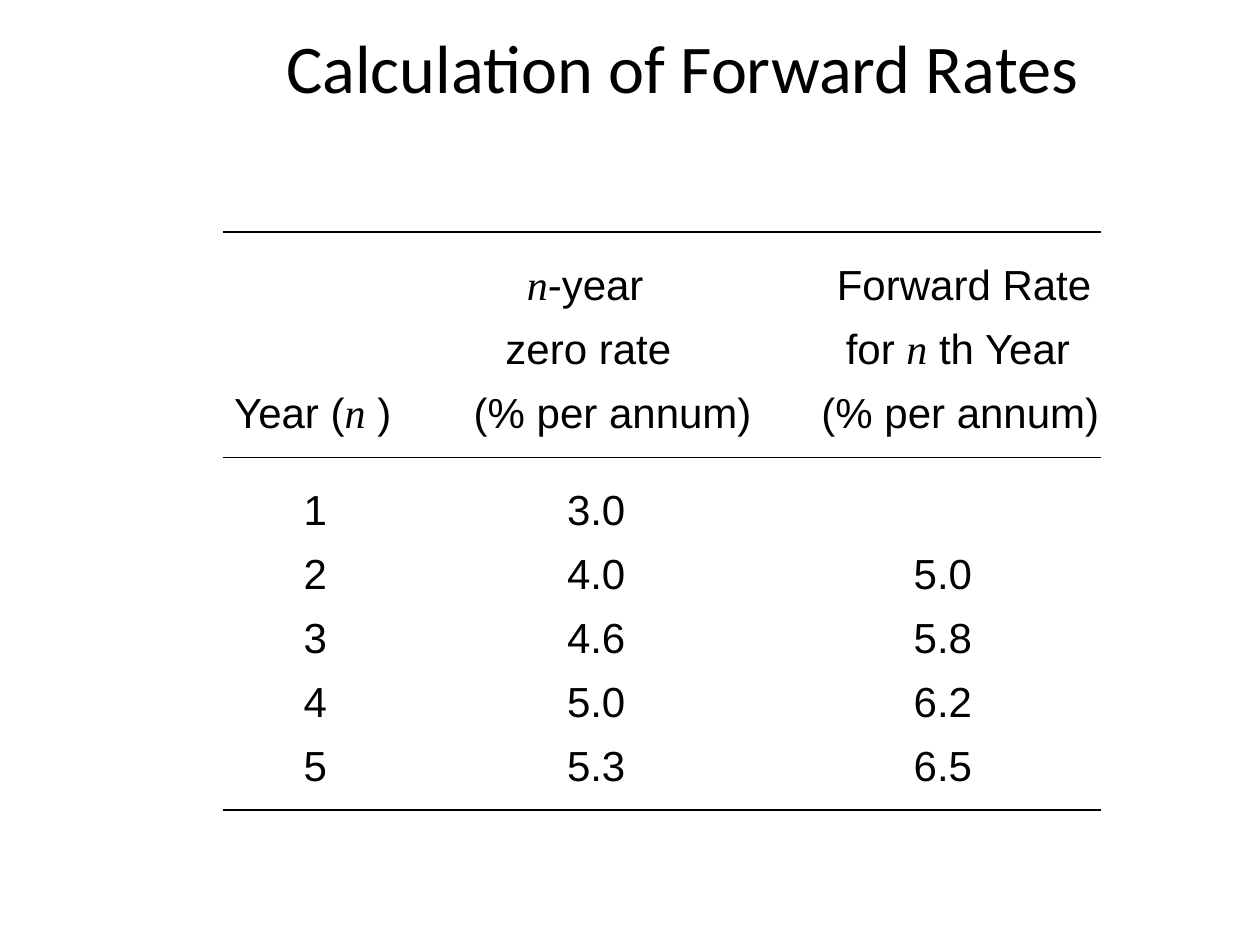
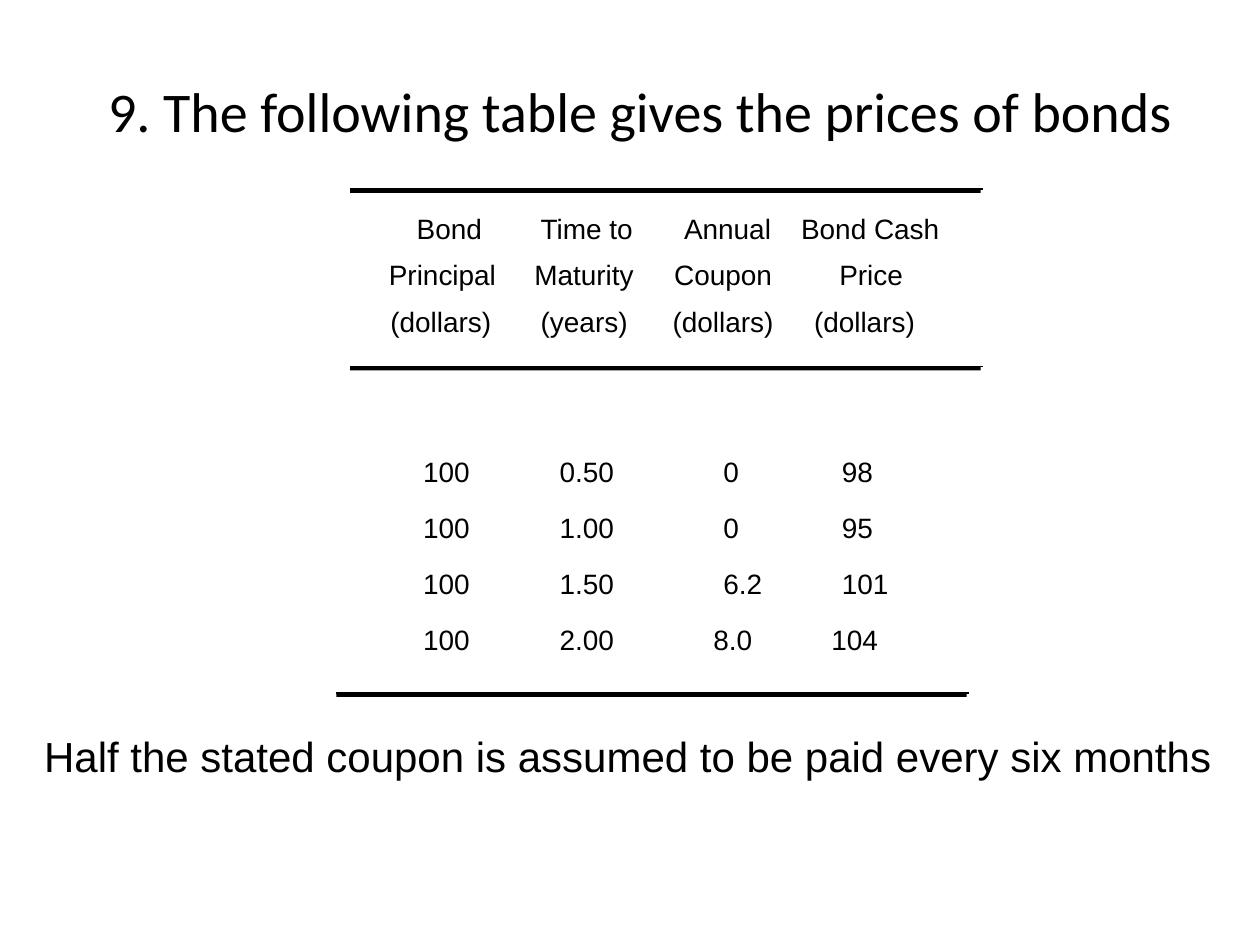
from lxml import etree
from pptx import Presentation
from pptx.dml.color import RGBColor
from pptx.enum.shapes import MSO_CONNECTOR, MSO_SHAPE
from pptx.enum.text import MSO_ANCHOR, PP_ALIGN
from pptx.oxml.ns import qn
from pptx.util import Cm, Pt

BLACK = RGBColor(0x00, 0x00, 0x00)
TITLE_FONT = "Calibri"
BODY_FONT = "Arial"
VARIABLE_FONT = "Times New Roman"

FORWARD_HEADINGS = [
    (("", "*n*-year", "Forward Rate"), (0.25, 1.32, 0.56)),
    (("", "zero rate", "for *n* th Year"), (0.25, 0.89, 0.74)),
    (("Year (*n* )", "(% per annum)", "(% per annum)"), (0.25, 0.25, 0.25)),
]
FORWARD_INDENTS = (1.65, 2.13, 2.11)
FORWARD_RATES = [
    ("1", "3.0", ""),
    ("2", "4.0", "5.0"),
    ("3", "4.6", "5.8"),
    ("4", "5.0", "6.2"),
    ("5", "5.3", "6.5"),
]

BOND_HEADINGS = [
    (("Bond", "Time to", "Annual", "Bond Cash"), (0.81, 0.38, 0.48, 0.25)),
    (("Principal", "Maturity", "Coupon", "Price"), (0.25, 0.25, 0.28, 1.02)),
    (("(dollars)", "(years)", "(dollars)", "(dollars)"), (0.28, 0.38, 0.25, 0.51)),
]
BOND_INDENTS = (0.94, 0.76, 1.27, 1.07)
LAST_BOND_INDENTS = (0.94, 0.76, 1.07, 0.86)
BOND_PRICES = [
    ("100", "0.50", "0", "98"),
    ("100", "1.00", "0", "95"),
    ("100", "1.50", "6.2", "101"),
]
LAST_BOND = ("100", "2.00", "8.0", "104")


def format_run(run, size, font_name):
    """Give a run its font, size and colour."""
    run.font.name = font_name
    run.font.size = Pt(size)
    run.font.color.rgb = BLACK


def add_text(slide, box, text, size, font_name, alignment=PP_ALIGN.LEFT):
    """Place one line of text in a box and return its text frame."""
    text_frame = slide.shapes.add_textbox(*map(Cm, box)).text_frame
    text_frame.word_wrap = True
    text_frame.text = text
    paragraph = text_frame.paragraphs[0]
    paragraph.alignment = alignment
    format_run(paragraph.runs[0], size, font_name)
    return text_frame


def add_title(slide, box, text, size, anchor):
    """Place a centred slide title."""
    text_frame = add_text(slide, box, text, size, TITLE_FONT, PP_ALIGN.CENTER)
    text_frame.vertical_anchor = anchor
    if anchor == MSO_ANCHOR.TOP:
        text_frame.margin_top = 0


def add_rule(slide, left, top, width, bar_height=0):
    """Draw a horizontal rule, thickened by a bar when a height is given."""
    line = slide.shapes.add_connector(
        MSO_CONNECTOR.STRAIGHT, Cm(left), Cm(top), Cm(left + width), Cm(top))
    line.line.color.rgb = BLACK
    line.line.width = Pt(1)
    etree.SubElement(line._element.spPr, qn("a:effectLst"))
    if bar_height:
        bar = slide.shapes.add_shape(
            MSO_SHAPE.RECTANGLE, Cm(left), Cm(top), Cm(width - 0.05), Cm(bar_height))
        bar.shadow.inherit = False
        bar.fill.solid()
        bar.fill.fore_color.rgb = BLACK
        bar.line.fill.background()


def fill_cell(cell, text, indent, size):
    """Write a cell, setting the parts between asterisks as variables."""
    cell.fill.background()
    cell.margin_left = Cm(indent)
    cell.margin_right = 0
    paragraph = cell.text_frame.paragraphs[0]
    for index, part in enumerate(text.split("*")):
        if part:
            run = paragraph.add_run()
            run.text = part
            is_variable = index % 2 == 1
            format_run(run, size, VARIABLE_FONT if is_variable else BODY_FONT)
            run.font.italic = is_variable


def add_plain_table(slide, box, rows, column_widths, row_heights, size):
    """Place an unfilled table whose cells have their own indents."""
    frame = slide.shapes.add_table(len(rows), len(column_widths), *map(Cm, box))
    table = frame.table
    table.first_row = False
    table.horz_banding = False
    for column, width in zip(table.columns, column_widths):
        column.width = Cm(width)
    for row, height, (texts, indents) in zip(table.rows, row_heights, rows):
        row.height = Cm(height)
        for cell, text, indent in zip(row.cells, texts, indents):
            fill_cell(cell, text, indent, size)


def build_forward_rates(slide):
    """Build the slide on forward rates."""
    add_title(slide, (4.01, 0.5, 19.48, 3.18), "Calculation of Forward Rates",
              39, MSO_ANCHOR.TOP)
    rows = FORWARD_HEADINGS + [(rates, FORWARD_INDENTS) for rates in FORWARD_RATES]
    widths = (4.83, 7.01, 6.19)
    heights = [1.29, 1.29, 1.96] + [1.29] * len(FORWARD_RATES)
    add_plain_table(slide, (4.47, 5.16, sum(widths), sum(heights)),
                    rows, widths, heights, 24)
    for top in (4.67, 9.22, 16.33):
        add_rule(slide, 4.5, top, 17.7)


def build_bond_prices(slide):
    """Build the slide on bond prices."""
    add_title(slide, (1.27, 0.64, 23.29, 3.18),
              "9. The following table gives the prices of bonds",
              32, MSO_ANCHOR.MIDDLE)
    rows = BOND_HEADINGS + [(prices, BOND_INDENTS) for prices in BOND_PRICES]
    rows.append((LAST_BOND, LAST_BOND_INDENTS))
    widths = (2.93, 2.79, 2.59, 4.06)
    heights = [0.94, 0.94, 3.02] + [1.13] * (len(BOND_PRICES) + 1)
    add_plain_table(slide, (7.59, 4.19, sum(widths), sum(heights)),
                    rows, widths, heights, 16)
    for left, top in ((7.06, 3.81), (7.06, 7.39), (6.78, 13.97)):
        add_rule(slide, left, top, 12.76, 0.08)
    add_text(slide, (0.64, 14.61, 24.76, 1.27),
             "Half the stated coupon is assumed to be paid every six months",
             24, BODY_FONT)


def main():
    """Build and save the presentation."""
    presentation = Presentation()
    presentation.slide_width = Cm(25.4)
    presentation.slide_height = Cm(19.05)
    for build in (build_forward_rates, build_bond_prices):
        build(presentation.slides.add_slide(presentation.slide_layouts[6]))
    presentation.save("out.pptx")


if __name__ == "__main__":
    main()
